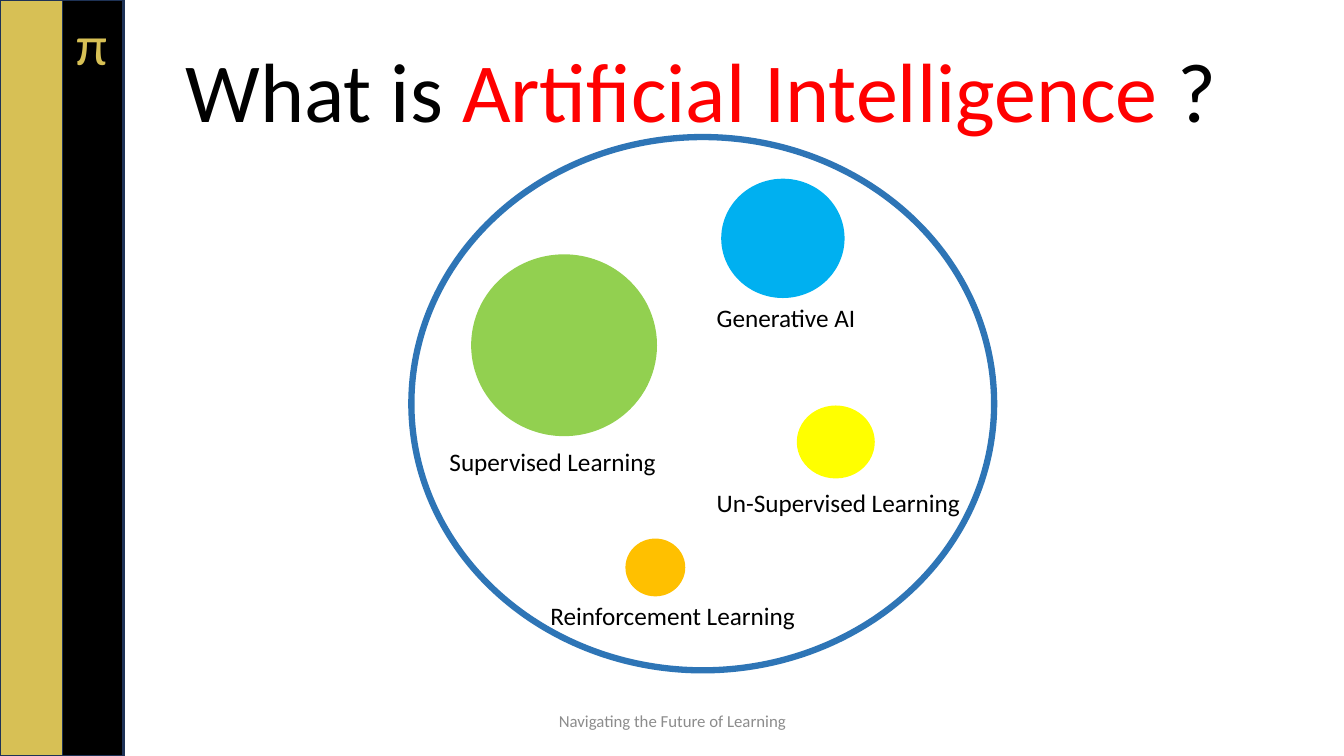
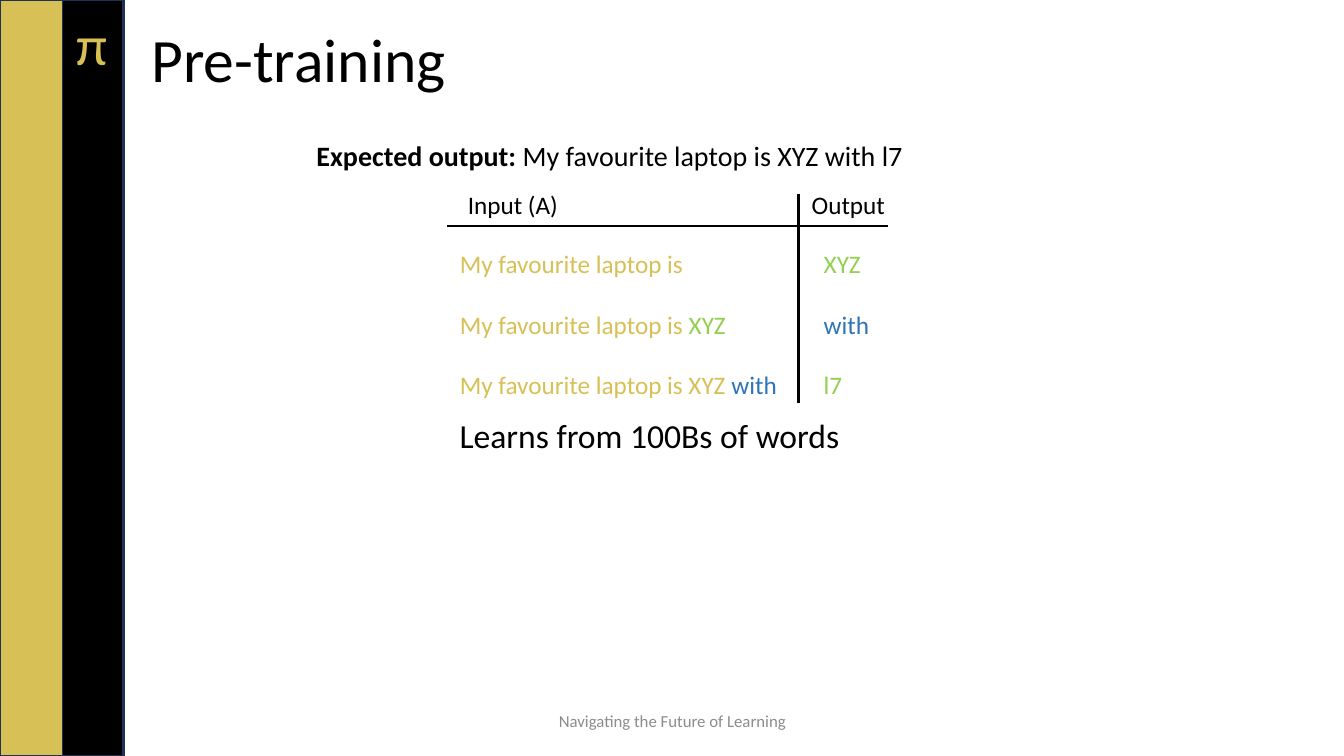
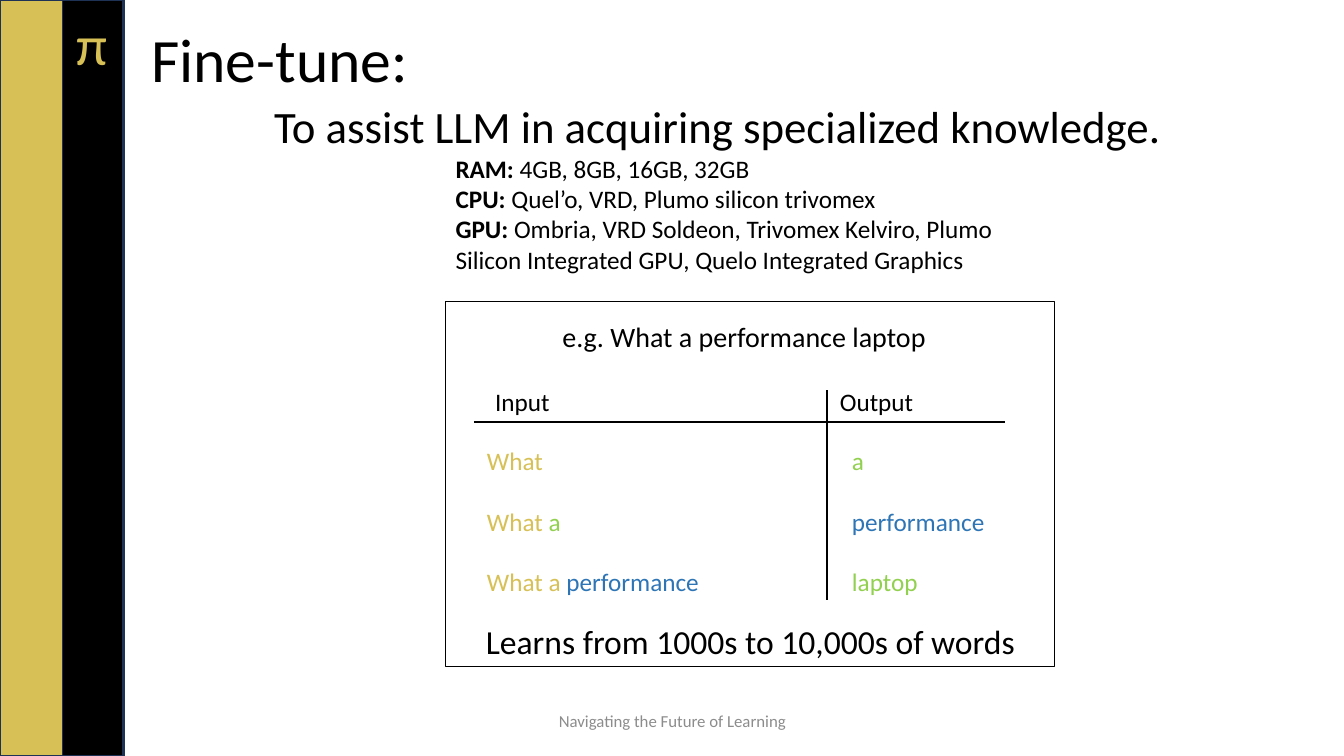
from lxml import etree
from pptx import Presentation
from pptx.dml.color import RGBColor
from pptx.enum.shapes import MSO_CONNECTOR, MSO_SHAPE
from pptx.enum.text import MSO_ANCHOR, MSO_AUTO_SIZE, PP_ALIGN
from pptx.oxml.ns import qn
from pptx.util import Inches, Pt

RECT, OVAL = MSO_SHAPE.RECTANGLE, MSO_SHAPE.OVAL
STRAIGHT = MSO_CONNECTOR.STRAIGHT
TOP, MIDDLE, BOTTOM = MSO_ANCHOR.TOP, MSO_ANCHOR.MIDDLE, MSO_ANCHOR.BOTTOM
LEFT, CENTER = PP_ALIGN.LEFT, PP_ALIGN.CENTER
NO_FIT = MSO_AUTO_SIZE.NONE
PLAIN_GRID = "{2D5ABB26-0587-4C30-8999-92F81FD0307C}"


class Theme:
    font = "Calibri"
    gold, black, white, navy = "D7C055", "000000", "FFFFFF", "1E3256"
    red, blue, green, gray = "FF0000", "2E75B6", "92D050", "8C8C8C"
    sky, amber, yellow = "00B0F0", "FFC000", "FFFF00"
    hero, title, mark, lead = 60, 44, 40, 32
    large, medium, body, small = 24, 20, 18, 12


# Content
WIDE, HIGH = 13.33, 7.5
BANDS = [((0, 0, 1.23, HIGH), Theme.gold), ((0.62, 0, 0.6, HIGH), Theme.black)]
FOOTER = "Navigating the Future of Learning"
TITLE_BOX = (1.4, 0.05, 11.32, 0.95)
HERO_BOX = (1.74, 0.31, 10.7, 1.14)
HERO = [("What is ", Theme.black), ("Artificial Intelligence", Theme.red),
        (" ?", Theme.black)]

FIELD = (4.08, 1.36, 5.78, 5.29)
BRANCHES = [  # label, colour, circle, label box
    ("Supervised Learning", Theme.green, (4.68, 2.53, 1.83, 1.79), (4.36, 4.38, 3, 0.4)),
    ("Generative AI", Theme.sky, (7.16, 1.78, 1.21, 1.17), (7.01, 2.95, 1.69, 0.4)),
    ("Reinforcement Learning", Theme.amber, (6.21, 5.35, 0.58, 0.56), (5.36, 5.91, 3, 0.4)),
    ("Un-Supervised Learning", Theme.yellow, (7.91, 4.03, 0.76, 0.71), (7.01, 4.79, 3, 0.4)),
]

HUES = [Theme.green, Theme.blue, Theme.green]
PRETRAIN = dict(heads=("Input (A)", "Output"), seed="My favourite laptop is",
                outs=["XYZ", "with", "l7"], at=(4.43, 1.84), cols=(3.49, 0.89))
TUNE = dict(heads=("Input", "Output"), seed="What",
            outs=["a", "performance", "laptop"], at=(4.7, 3.79), cols=(3.5, 1.77))

EXPECT = ("Expected output:", " My favourite laptop is XYZ with l7")
PARTS = [
    ("RAM:", " 4GB, 8GB, 16GB, 32GB"),
    ("CPU:", " Quel’o, VRD, Plumo silicon trivomex"),
    ("GPU:", " Ombria, VRD Soldeon, Trivomex Kelviro, Plumo Silicon "
             "Integrated GPU, Quelo Integrated Graphics"),
]


# Helpers
def rgb(code):
    return RGBColor.from_string(code)


def inch(box):
    return [Inches(v) for v in box]


def style(para, size, color=Theme.black, align=LEFT):
    para.alignment = align
    para.font.name, para.font.size = Theme.font, Pt(size)
    para.font.color.rgb = rgb(color)


def add_runs(para, pieces):
    """Add (text, colour) pieces as runs."""
    for text, color in pieces:
        run = para.add_run()
        run.text = text
        run.font.color.rgb = rgb(color)


def add_pair(para, head, rest):
    """Add a bold lead-in and the plain text after it."""
    for text, bold in ((head, True), (rest, False)):
        run = para.add_run()
        run.text, run.font.bold = text, bold


def add_text(slide, box, text, size, color=Theme.black, align=LEFT,
             anchor=TOP, wrap=False):
    frame = slide.shapes.add_textbox(*inch(box)).text_frame
    frame.word_wrap, frame.vertical_anchor = wrap, anchor
    para = frame.paragraphs[0]
    para.text = text
    style(para, size, color, align)
    return frame


def add_form(slide, kind, box, fill, line, width=1):
    shape = slide.shapes.add_shape(kind, *inch(box))
    shape.shadow.inherit = False
    if fill:
        shape.fill.solid()
        shape.fill.fore_color.rgb = rgb(fill)
    else:
        shape.fill.background()
    shape.line.color.rgb, shape.line.width = rgb(line), Pt(width)
    return shape


def add_rule(slide, ends):
    rule = slide.shapes.add_connector(STRAIGHT, *inch(ends))
    rule.line.color.rgb, rule.line.width = rgb(Theme.black), Pt(1.5)
    etree.SubElement(rule.element.find(qn("p:spPr")), qn("a:effectLst"))


def set_title(slide, box, size):
    title = slide.shapes.title
    title.left, title.top, title.width, title.height = inch(box)
    frame = title.text_frame
    frame.word_wrap, frame.auto_size = True, NO_FIT
    frame.vertical_anchor = BOTTOM
    para = frame.paragraphs[0]
    para.line_spacing = 0.9
    style(para, size)
    return para


def add_tokens(slide, heads, seed, outs, at, cols):
    """Draw the table in which each output joins the next input."""
    rows = [[[(head, Theme.black)] for head in heads]]
    for i, (out, hue) in enumerate(zip(outs, HUES)):
        known = " ".join([seed] + outs[:max(i - 1, 0)])
        fed = [(known + " ", Theme.gold), (outs[i - 1], HUES[i - 1])]
        rows.append([fed if i else [(seed, Theme.gold)], [(out, hue)]])

    tall = [0.4] + [0.6] * len(outs)
    frame = slide.shapes.add_table(len(rows), len(cols),
                                   *inch((*at, sum(cols), sum(tall))))
    grid = frame.table
    grid.first_row = grid.horz_banding = False
    frame.element.find(".//" + qn("a:tableStyleId")).text = PLAIN_GRID
    for c, width in enumerate(cols):
        grid.columns[c].width = Inches(width)
    for r, row in enumerate(rows):
        grid.rows[r].height = Inches(tall[r])
        for c, pieces in enumerate(row):
            cell = grid.cell(r, c)
            indent = (0.13, 0.25)[c] if r else (0.21, 0.13)[c]
            cell.margin_left = Inches(indent)
            cell.margin_top = Inches(0.24 if r else 0.05)
            cell.margin_right = cell.margin_bottom = 0
            cell.fill.background()
            para = cell.text_frame.paragraphs[0]
            style(para, Theme.body)
            add_runs(para, pieces)

    # Rules under the heads and between the columns
    left, top = at
    base, mid = top + tall[0], left + cols[0]
    add_rule(slide, (left, base, left + sum(cols), base))
    add_rule(slide, (mid, top + 0.08, mid, top + 2.16))


def dress(layout, slide):
    """Build the bands, mark and footer, then move them to the layout."""
    parts = [add_form(slide, RECT, box, fill, Theme.navy) for box, fill in BANDS]
    add_text(slide, (0.66, 0.05, 0.48, 0.77), "π", Theme.mark, Theme.gold)
    add_text(slide, (4.42, 6.95, 4.5, 0.4), FOOTER, Theme.small, Theme.gray,
             CENTER, MIDDLE, True)
    parts += list(slide.shapes)[-2:]
    for i, part in enumerate(parts):
        layout.shapes.element.insert(2 + i, part.element)


# Slides
def show_field(slide):
    add_runs(set_title(slide, HERO_BOX, Theme.hero), HERO)
    add_form(slide, OVAL, FIELD, Theme.white, Theme.blue, 4.5)
    for label, color, circle, box in BRANCHES:
        add_form(slide, OVAL, circle, color, color)
        add_text(slide, box, label, Theme.body, wrap=True)


def show_pretrain(slide):
    set_title(slide, TITLE_BOX, Theme.title).text = "Pre-training"
    frame = add_text(slide, (3.04, 1.32, 6.1, 0.44), "", Theme.medium, wrap=True)
    add_pair(frame.paragraphs[0], *EXPECT)
    add_tokens(slide, **PRETRAIN)
    add_text(slide, (4.46, 4.07, 4, 0.5), "Learns from 100Bs of words", Theme.large)


def show_tune(slide):
    set_title(slide, TITLE_BOX, Theme.title).text = "Fine-tune:"
    add_text(slide, (2.62, 0.93, 9.09, 0.64),
             "To assist LLM in acquiring specialized knowledge.", Theme.lead)
    frame = add_text(slide, (4.42, 1.47, 6.04, 1.31), "", Theme.body, wrap=True)
    for i, pair in enumerate(PARTS):
        para = frame.add_paragraph() if i else frame.paragraphs[0]
        style(para, Theme.body)
        add_pair(para, *pair)
    add_form(slide, RECT, (4.42, 2.99, 6.04, 3.62), None, Theme.black)
    add_text(slide, (5.48, 3.12, 3.91, 0.44), "e.g. What a performance laptop",
             Theme.medium)
    add_tokens(slide, **TUNE)
    add_text(slide, (4.72, 6.11, 5.49, 0.5),
             "Learns from 1000s to 10,000s of words", Theme.large)


def main():
    deck = Presentation()
    deck.slide_width, deck.slide_height = inch((WIDE, HIGH))
    layout = deck.slide_layouts[5]
    for i, show in enumerate((show_field, show_pretrain, show_tune)):
        slide = deck.slides.add_slide(layout)
        if i == 0:
            dress(layout, slide)
        show(slide)
    deck.save("out.pptx")


if __name__ == "__main__":
    main()
